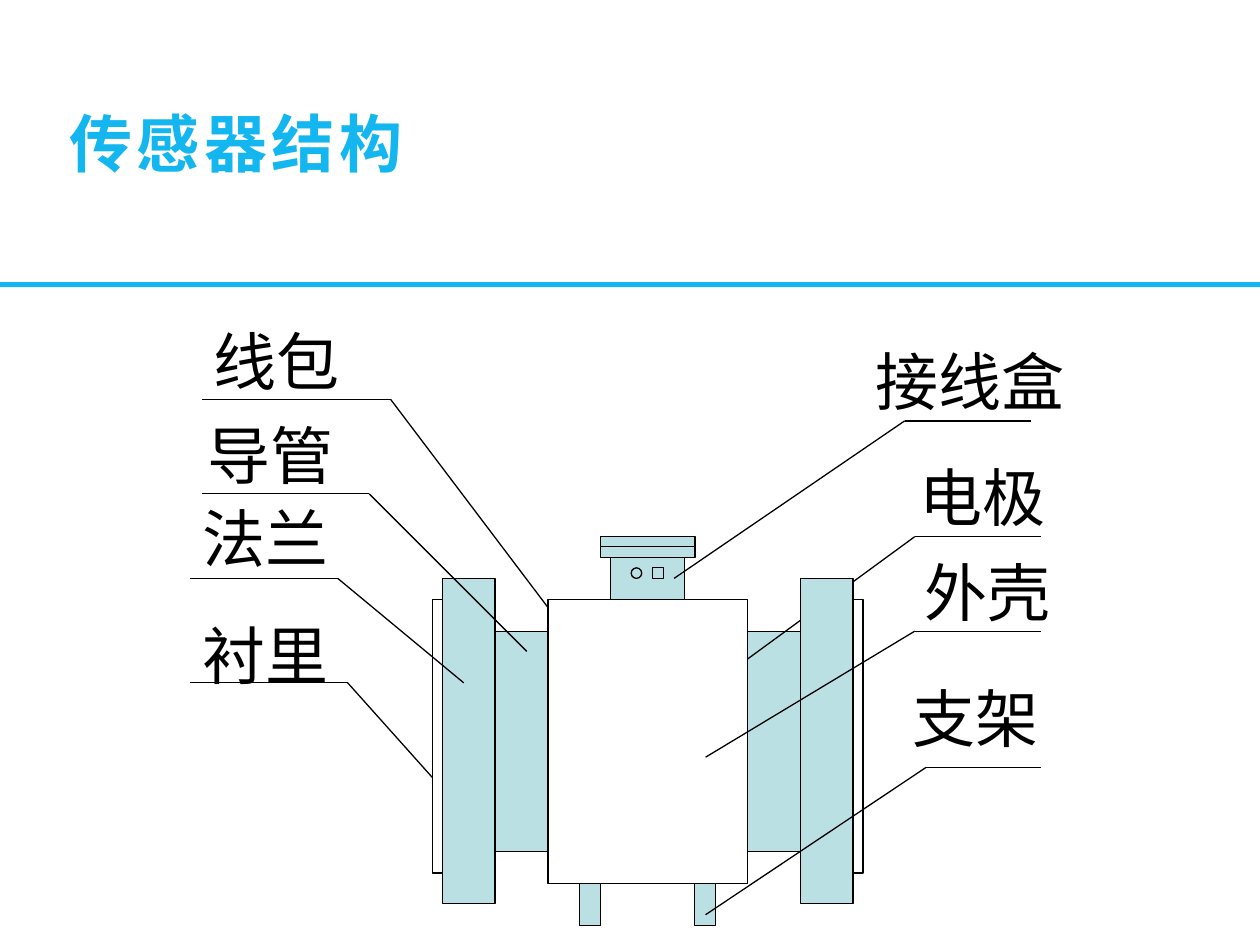
from lxml.etree import SubElement
from pptx import Presentation
from pptx.dml.color import RGBColor
from pptx.enum.shapes import MSO_CONNECTOR, MSO_SHAPE
from pptx.oxml.ns import qn
from pptx.util import Pt

COLOURS = {"accent": "14B6F0", "steel": "BBE0E3", "white": "FFFFFF", "black": "000000"}
CENTRE = 370.1  # vertical axis of the sensor

# text, (left, top, width) of the label, tip, elbow and outer end of its leader
HIDDEN_PARTS = [
    ("线包", (115.2, 180.7, 102), (337, 378.7), (223.2, 228.2), 115.2),
    ("电极", (518.4, 258.5, 88.6), (367.2, 420.5), (522.7, 306.7), 594.7),
]
VISIBLE_PARTS = [
    ("导管", (111.6, 234.7, 99.4), (301, 372.2), (211, 282.2), 115.2),
    ("法兰", (108.7, 282.2, 95.8), (265, 390.2), (193, 330.5), 108.7),
    ("衬里", (108.7, 348.5, 95.8), (247, 444.2), (198.7, 390.2), 108.7),
    ("接线盒", (493.2, 192.2, 131.8), (385.2, 330.5), (517, 240.5), 589),
    ("外壳", (521.3, 312.5, 108), (403.2, 432.7), (522.7, 360.7), 594.7),
    ("支架", (514.1, 384.5, 104.4), (403.2, 522.7), (529.2, 438.5), 594.7),
]


def colour(name):
    return RGBColor.from_string(COLOURS[name])


class SensorSlide:
    font = "Times New Roman"
    cjk_font = "Noto Sans CJK SC"
    size = 36
    line_width = 0.75

    def __init__(self, slide):
        self.slide = slide

    def block(self, left, top, width, height, fill="steel", line="black", kind=MSO_SHAPE.RECTANGLE):
        shape = self.slide.shapes.add_shape(kind, Pt(left), Pt(top), Pt(width), Pt(height))
        shape.shadow.inherit = False
        shape.fill.solid()
        shape.fill.fore_color.rgb = colour(fill)
        if line:
            shape.line.color.rgb = colour(line)
            shape.line.width = Pt(self.line_width)
        else:
            shape.line.fill.background()

    def centred(self, top, width, height, **style):
        self.block(CENTRE - width / 2, top, width, height, **style)

    def mirrored(self, left, top, width, height, **style):
        """Draw a block and its reflection about the sensor axis."""
        for x in (left, 2 * CENTRE - left - width):
            self.block(x, top, width, height, **style)

    def line(self, start, end):
        connector = self.slide.shapes.add_connector(
            MSO_CONNECTOR.STRAIGHT, *(Pt(value) for value in (*start, *end)))
        connector.line.color.rgb = colour("black")
        connector.line.width = Pt(self.line_width)
        SubElement(connector._element.spPr, qn("a:effectLst"))

    def leader(self, tip, elbow, end):
        self.line(tip, elbow)
        self.line(elbow, (end, elbow[1]))

    def text(self, text, left, top, width, height=50.4, font=None, color="black",
             bold=False, spacing=0, insets=(7.2, 3.6)):
        box = self.slide.shapes.add_textbox(Pt(left), Pt(top), Pt(width), Pt(height))
        frame = box.text_frame
        frame.word_wrap = True
        frame.margin_left = frame.margin_right = Pt(insets[0])
        frame.margin_top = frame.margin_bottom = Pt(insets[1])
        run = frame.paragraphs[0].add_run()
        run.text = text
        run.font.size = Pt(self.size)
        run.font.bold = bold
        run.font.color.rgb = colour(color)
        run.font.name = font or self.font
        properties = run._r.get_or_add_rPr()
        SubElement(properties, qn("a:ea"), typeface=self.cjk_font)
        if spacing:
            properties.set("spc", str(round(spacing * 100)))


def draw_sensor(sensor):
    sensor.centred(360.7, 203.8, 126)  # pipe
    for _, _, tip, elbow, end in HIDDEN_PARTS:
        sensor.leader(tip, elbow, end)
    sensor.mirrored(252.7, 330.5, 30.2, 185.8)  # flanges
    sensor.mirrored(247, 342.7, 5.8, 156.2, fill="white")  # lining
    sensor.centred(342.7, 113.8, 162, fill="white")  # shell
    sensor.centred(318.5, 42, 24.2)  # junction box
    for top in (312.5, 306.5):
        sensor.centred(top, 54, 6)  # lid
    sensor.block(360.7, 324.5, 6, 6, kind=MSO_SHAPE.OVAL)
    sensor.block(373, 324.5, 6, 6)
    sensor.mirrored(331.2, 504.7, 12.2, 24)  # feet
    for _, _, tip, elbow, end in VISIBLE_PARTS:
        sensor.leader(tip, elbow, end)
    for text, position, *_ in HIDDEN_PARTS + VISIBLE_PARTS:
        sensor.text(text, *position)


def main():
    presentation = Presentation()
    presentation.slide_width, presentation.slide_height = Pt(720), Pt(540)
    sensor = SensorSlide(presentation.slides.add_slide(presentation.slide_layouts[6]))
    draw_sensor(sensor)
    sensor.text("传感器结构", 36, 58.3, 648, 60.5, font=sensor.cjk_font, color="accent",
                bold=True, spacing=2.6, insets=(3.6, 1.44))
    sensor.block(0, 161.3, 720, 2.9, fill="accent", line=None)
    presentation.save("out.pptx")


if __name__ == "__main__":
    main()
